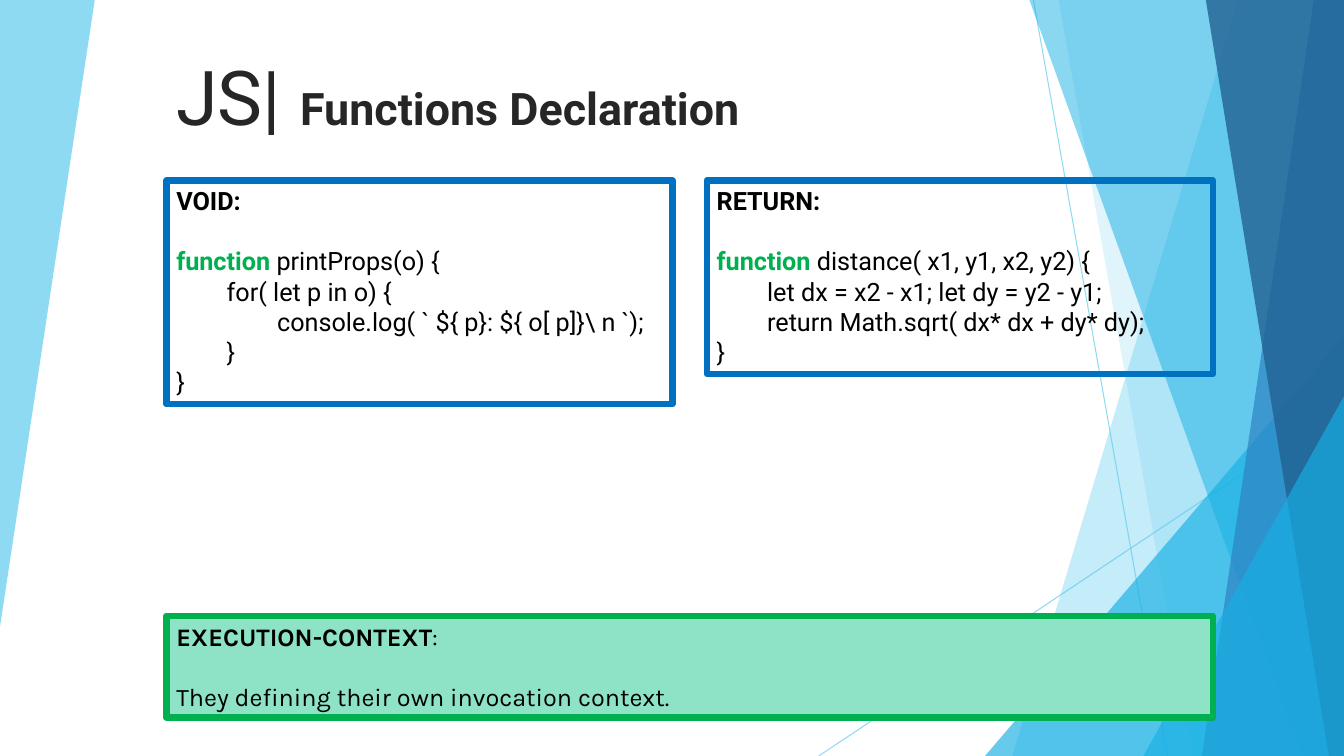
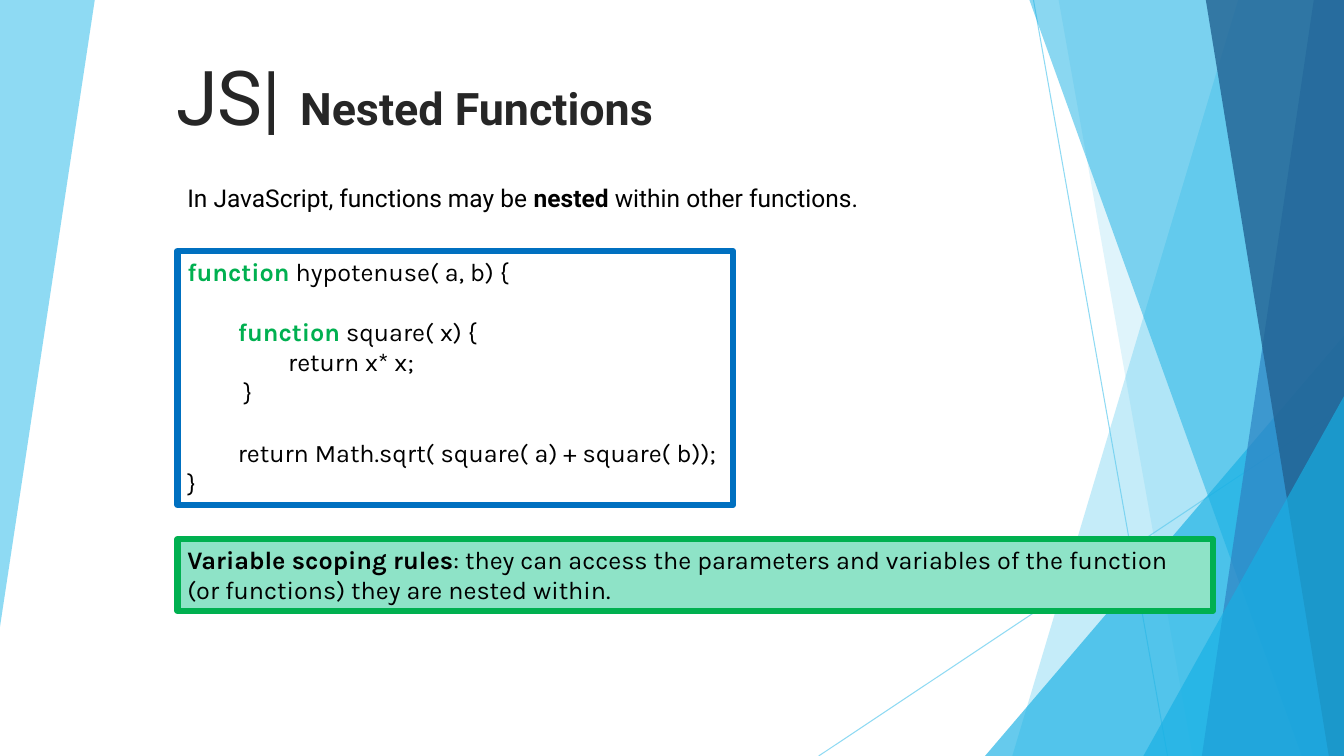
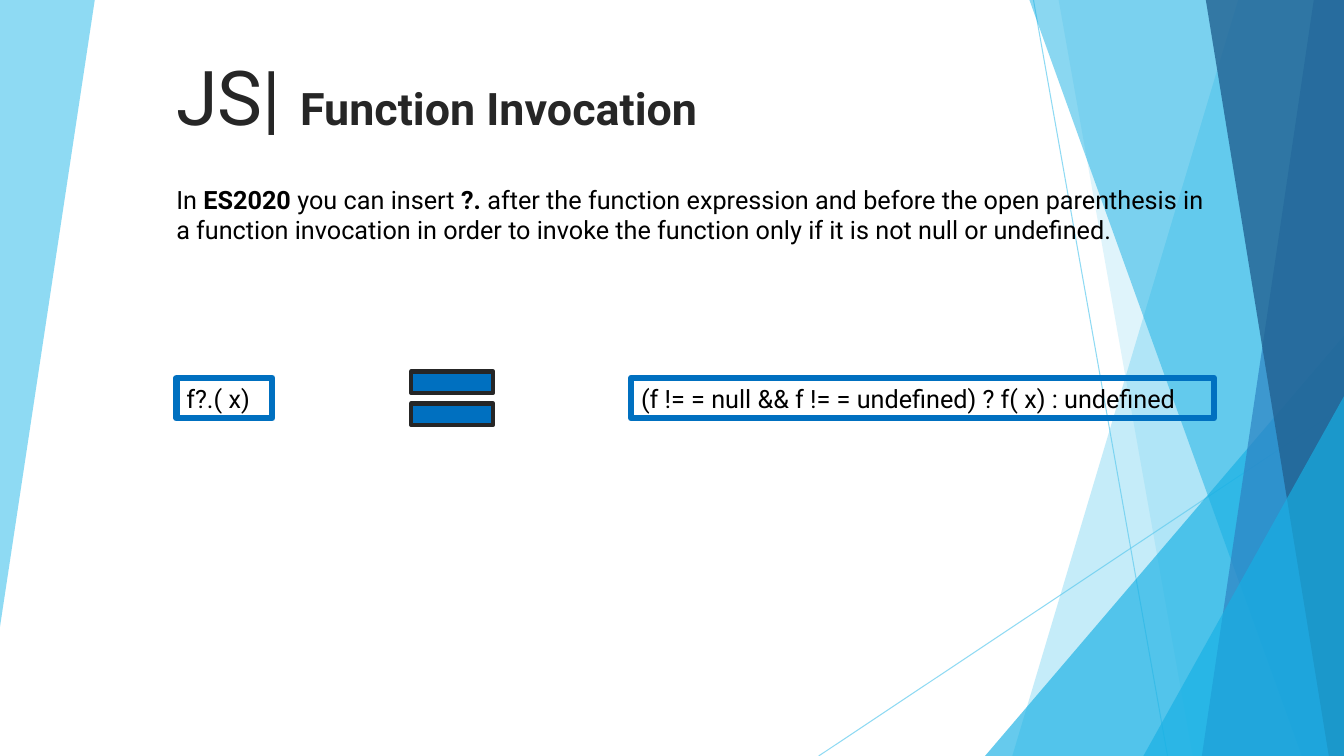
import pptx
import pptx.dml.color
import pptx.enum.shapes
import pptx.enum.text
import pptx.oxml
import pptx.oxml.ns
import pptx.util
from dataclasses import dataclass
from lxml import etree

Inches = pptx.util.Inches
Pt = pptx.util.Pt
RGBColor = pptx.dml.color.RGBColor
qn = pptx.oxml.ns.qn
MSO_SHAPE = pptx.enum.shapes.MSO_SHAPE


@dataclass(frozen=True)
class Theme:
    sky: str = "5FCBEF"
    cyan: str = "17B0E4"
    azure: str = "2E83C3"
    navy: str = "226292"
    blue: str = "0070C0"
    green: str = "00B050"
    mint: str = "8EE3C7"
    ink: str = "262626"
    black: str = "000000"
    sans: str = "Roboto"
    rounded: str = "Karla"
    border: float = 4.5
    blank_line: float = 21.5
    indent: float = 0.5


theme = Theme()
RUN_STYLES = {
    "mark": (54, theme.ink, False),
    "heading": (32, theme.ink, True),
    "body": (18, theme.black, False),
    "strong": (18, theme.black, True),
    "keyword": (18, theme.green, True),
    "intro": (17.5, theme.black, False),
    "intro strong": (17.5, theme.black, True),
}


def set_opacity(shape, percent):
    for color in shape.element.spPr.iter(qn("a:srgbClr")):
        etree.SubElement(color, qn("a:alpha")).set("val", str(percent * 1000))


def add_text(slide, place, font, paragraphs, outline=None, fill=None):
    shape = slide.shapes.add_textbox(*map(Inches, place))
    if fill:
        shape.fill.solid()
        shape.fill.fore_color.rgb = RGBColor.from_string(fill)
    if outline:
        shape.line.color.rgb = RGBColor.from_string(outline)
        shape.line.width = Pt(theme.border)
        etree.SubElement(shape.element.spPr.find(qn("a:ln")), qn("a:round"))
    frame = shape.text_frame
    frame.word_wrap = True
    frame.auto_size = pptx.enum.text.MSO_AUTO_SIZE.SHAPE_TO_FIT_TEXT
    for number, (level, blank_lines, runs) in enumerate(paragraphs):
        paragraph = frame.add_paragraph() if number else frame.paragraphs[0]
        if level:
            margin = Inches(level * theme.indent)
            paragraph._p.get_or_add_pPr().set("marL", str(margin))
        if blank_lines:
            paragraph.space_before = Pt(blank_lines * theme.blank_line)
        for text, style in runs:
            size, color, bold = RUN_STYLES[style]
            run = paragraph.add_run()
            run.text = text
            run.font.name = font
            run.font.size = Pt(size)
            run.font.bold = bold
            run.font.color.rgb = RGBColor.from_string(color)
    return shape


presentation = pptx.Presentation()
presentation.slide_width = Inches(13.33)
presentation.slide_height = Inches(7.5)
blank_layout = presentation.slide_layouts[6]
for placeholder in list(blank_layout.placeholders):
    placeholder.element.getparent().remove(placeholder.element)

titles = ["Functions Declaration", "Nested Functions", "Function Invocation"]
slides = []
for title in titles:
    slide = presentation.slides.add_slide(blank_layout)
    title_box = add_text(slide, (1.65, 0.38, 8.49, 1.06), theme.sans,
                         [(0, 0, [("JS| ", "mark"), (title, "heading")])])
    title_box.text_frame.auto_size = pptx.enum.text.MSO_AUTO_SIZE.NONE
    title_box.text_frame.vertical_anchor = pptx.enum.text.MSO_ANCHOR.BOTTOM
    slides.append(slide)
declaration, nested, invocation = slides

facets = [
    ("polygon", [(0, 0), (0.94, 0), (0, 6.22)], theme.sky, 70),
    ("line", [(10.25, 0), (11.58, 7.5)], theme.sky, 70),
    ("line", [(13.33, 4.03), (8.12, 7.5)], theme.sky, 70),
    ("polygon", [(12.28, 0), (13.33, 0), (13.33, 7.5), (10.04, 7.5)], theme.sky, 36),
    ("polygon", [(10.5, 0), (13.33, 0), (13.33, 7.5), (11.83, 7.5)], theme.sky, 20),
    ("triangle", [(9.77, 3.33), (3.56, 4.17)], theme.cyan, 66),
    ("polygon", [(10.21, 0), (13.33, 0), (13.33, 7.5), (12.91, 7.5)], theme.cyan, 50),
    ("polygon", [(13.03, 0), (13.33, 0), (13.33, 7.5), (11.92, 7.5)], theme.azure, 70),
    ("polygon", [(11.96, 0), (13.33, 0), (13.33, 7.5), (13.18, 7.5)], theme.navy, 80),
    ("triangle", [(11.34, 3.93), (1.99, 3.57)], theme.cyan, 66),
]
facet_shapes = []
for kind, points, color, opacity in facets:
    corners = [(Inches(x), Inches(y)) for x, y in points]
    if kind == "line":
        facet = declaration.shapes.add_connector(
            pptx.enum.shapes.MSO_CONNECTOR.STRAIGHT, *corners[0], *corners[1])
        facet.line.color.rgb = RGBColor.from_string(color)
        facet.line.width = Pt(0.75)
        etree.SubElement(facet.element.spPr, qn("a:effectLst"))
    else:
        if kind == "triangle":
            facet = declaration.shapes.add_shape(
                MSO_SHAPE.ISOSCELES_TRIANGLE, *corners[0], *corners[1])
            facet.adjustments[0] = 1
        else:
            builder = declaration.shapes.build_freeform(*corners[0])
            builder.add_line_segments(corners[1:], close=True)
            facet = builder.convert_to_shape()
        facet.fill.solid()
        facet.fill.fore_color.rgb = RGBColor.from_string(color)
        facet.line.fill.background()
        facet.shadow.inherit = False
    set_opacity(facet, opacity)
    facet_shapes.append(facet)
for facet in facet_shapes:
    blank_layout.shapes.element.append(facet.element)

add_text(declaration, (1.65, 1.79, 5.02, 2.22), theme.sans, [
    (0, 0, [("VOID:", "strong")]),
    (0, 1, [("function ", "keyword"), ("printProps(o) {", "body")]),
    (1, 0, [("for( let p in o) {", "body")]),
    (2, 0, [("console.log( ` ${ p}: ${ o[ p]}\\ n `);", "body")]),
    (1, 0, [("}", "body")]),
    (0, 0, [("}", "body")]),
], theme.blue)
add_text(declaration, (7.01, 1.79, 5.02, 1.92), theme.sans, [
    (0, 0, [("RETURN:", "strong")]),
    (0, 1, [("function", "keyword"), (" distance( x1, y1, x2, y2) {", "body")]),
    (1, 0, [("let dx = x2 - x1; let dy = y2 - y1;", "body")]),
    (1, 0, [("return Math.sqrt( dx* dx + dy* dy);", "body")]),
    (0, 0, [("}", "body")]),
], theme.blue)
add_text(declaration, (1.65, 6.11, 10.38, 1.01), theme.rounded, [
    (0, 0, [("EXECUTION-CONTEXT", "strong"), (":", "body")]),
    (0, 1, [("They defining their own invocation context.", "body")]),
], theme.green, theme.mint)

add_text(nested, (1.76, 1.77, 10.27, 0.4), theme.sans, [
    (0, 0, [("In JavaScript, functions may be ", "intro"),
            ("nested", "intro strong"),
            (" within other functions.", "intro")]),
])
add_text(nested, (1.76, 2.49, 5.51, 2.52), theme.rounded, [
    (0, 0, [("function", "keyword"), (" hypotenuse( a, b) {", "body")]),
    (1, 1, [("function", "keyword"), (" square( x) {", "body")]),
    (2, 0, [("return x* x;", "body")]),
    (1, 0, [(" }", "body")]),
    (1, 1, [("return Math.sqrt( square( a) + square( b));", "body")]),
    (0, 0, [("}", "body")]),
], theme.blue)
add_text(nested, (1.76, 5.35, 10.27, 0.71), theme.rounded, [
    (0, 0, [("Variable scoping rules", "strong"),
            (": they can access the parameters and variables of the function "
             "(or functions) they are nested within.", "body")]),
], theme.green, theme.mint)

explanation = add_text(invocation, (1.65, 1.78, 10.39, 0.71), theme.sans, [
    (0, 0, [("In ", "body"), ("ES2020", "strong"), (" you can insert ", "body"),
            ("?.", "strong"),
            (" after the function expression and before the open parenthesis in a "
             "function invocation in order to invoke the function only if it is "
             "not null or undefined.", "body")]),
])
explanation.text_frame.paragraphs[0].alignment = pptx.enum.text.PP_ALIGN.JUSTIFY
add_text(invocation, (6.26, 3.75, 5.78, 0.4), theme.sans, [
    (0, 0, [("(f != = null && f != = undefined) ? f( x) : undefined", "body")]),
], theme.blue)
add_text(invocation, (1.75, 3.75, 0.95, 0.4), theme.sans,
         [(0, 0, [("f?.( x)", "body")])], theme.blue)
equals = invocation.shapes.add_shape(
    MSO_SHAPE.MATH_EQUAL, Inches(3.93), Inches(3.5), Inches(1.11), Inches(0.9))
equals.shadow.inherit = False
equals.fill.solid()
equals.fill.fore_color.rgb = RGBColor.from_string(theme.blue)
equals.line.color.rgb = RGBColor.from_string(theme.ink)
equals.line.width = Pt(3)

presentation.save("out.pptx")
